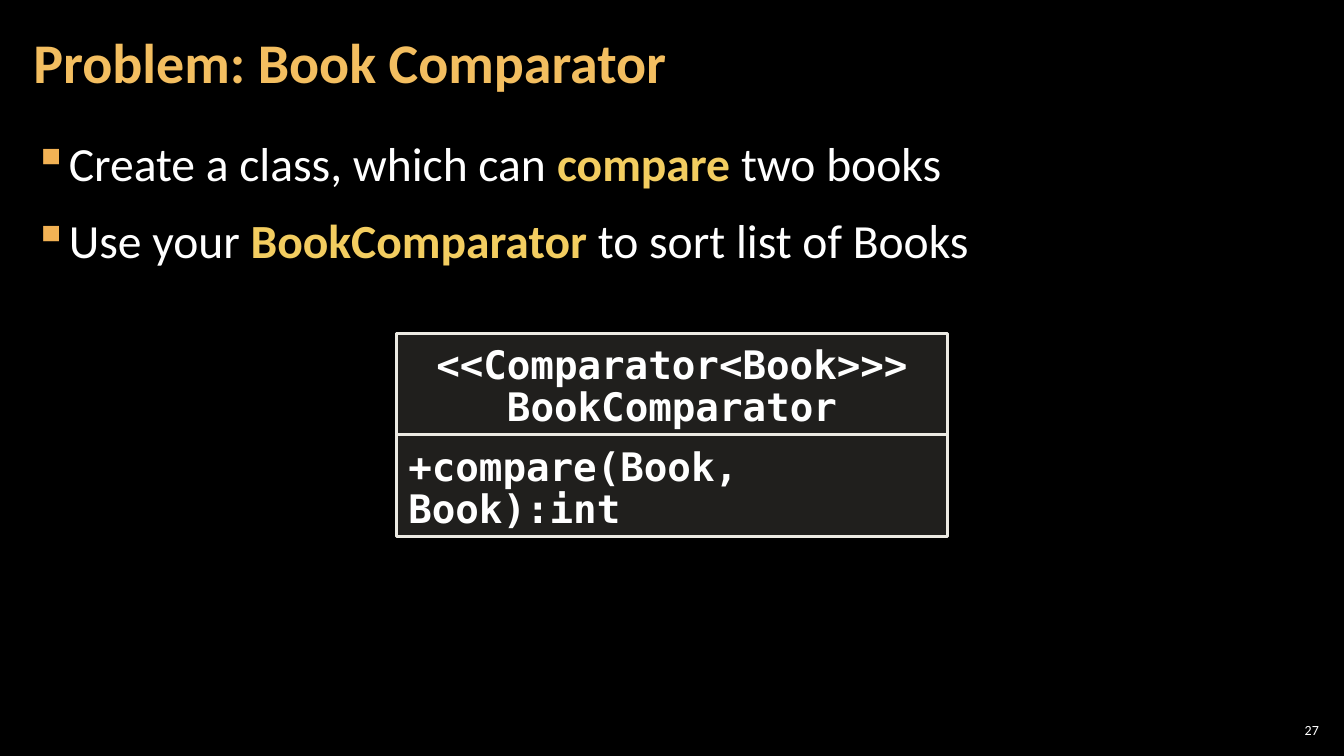
"""Build the Book Comparator slide with its bullets and class diagram."""
from dataclasses import dataclass

from lxml.etree import SubElement
from pptx import Presentation
from pptx.dml.color import RGBColor
from pptx.enum.shapes import MSO_SHAPE
from pptx.enum.text import MSO_ANCHOR, PP_ALIGN
from pptx.oxml.ns import qn
from pptx.util import Inches, Pt

WIDE, HIGH = Inches(13.33), Inches(7.5)
WHITE, GOLD, TITLE = "FFFFFF", "F3CD60", "F3BE60"
BULLET, PANEL, EDGE = "F2B254", "D9D5C7", "ECEAE3"
SANS, MONO = "Calibri", "DejaVu Sans Mono"


@dataclass(frozen=True)
class Place:
    left: float
    top: float
    width: float
    height: float

    def lengths(self) -> tuple[int, ...]:
        sides = (WIDE, HIGH, WIDE, HIGH)
        shares = (self.left, self.top, self.width, self.height)
        return tuple(int(side * share / 100) for side, share in zip(sides, shares))


@dataclass(frozen=True)
class Label:
    place: Place
    text: str
    size: int
    font: str = SANS
    hue: str = WHITE
    bold: bool = False
    align: PP_ALIGN = PP_ALIGN.LEFT
    anchor: MSO_ANCHOR = MSO_ANCHOR.TOP
    inset: tuple[float, float] = (0.12, 0.04)
    line: float | Pt = 1.0
    gap: int = 0
    list: bool = False
    panel: bool = False


def color(code: str) -> RGBColor:
    return RGBColor.from_string(code)


def add_panel(shapes, place: Place):
    panel = shapes.add_shape(MSO_SHAPE.RECTANGLE, *place.lengths())
    panel.shadow.inherit = False
    panel.fill.solid()
    panel.fill.fore_color.rgb = color(PANEL)
    tint = panel.fill._xPr.find(".//" + qn("a:srgbClr"))
    SubElement(tint, qn("a:alpha"), val="15000")
    panel.line.color.rgb = color(EDGE)
    panel.line.width = Pt(2)
    return panel


def add_bullet(para) -> None:
    props = para._p.get_or_add_pPr()
    indent = Inches(0.33)
    props.set("marL", str(indent))
    props.set("indent", str(-indent))
    tint = SubElement(props, qn("a:buClr"))
    SubElement(tint, qn("a:srgbClr"), val=BULLET)
    SubElement(props, qn("a:buChar"), char="▪")


def add_runs(para, text: str, label: Label) -> None:
    for order, part in enumerate(text.split("|")):
        strong = order % 2 == 1
        run = para.add_run()
        run.text = part
        run.font.name = label.font
        run.font.size = Pt(label.size)
        run.font.bold = label.bold or strong
        run.font.color.rgb = color(GOLD if strong else label.hue)


def add_label(shapes, label: Label) -> None:
    if label.panel:
        shape = add_panel(shapes, label.place)
    else:
        shape = shapes.add_textbox(*label.place.lengths())
    frame = shape.text_frame
    frame.word_wrap = True
    frame.vertical_anchor = label.anchor
    across, down = map(Inches, label.inset)
    frame.margin_left = frame.margin_right = across
    frame.margin_top = frame.margin_bottom = down
    for order, text in enumerate(label.text.split("\n")):
        para = frame.add_paragraph() if order else frame.paragraphs[0]
        para.alignment = label.align
        para.line_spacing = label.line
        para.space_before = para.space_after = Pt(label.gap)
        if label.list:
            add_bullet(para)
        add_runs(para, text, label)


def class_box(row: int, text: str, align: PP_ALIGN) -> Label:
    height = 13.4
    place = Place(29.48, 44.13 + row * height, 41.04, height)
    return Label(place, text, 28, MONO, bold=True, align=align,
                 inset=(0.12, 0.12), line=Pt(30), panel=True)


LABELS = (
    Label(Place(94.9, 95.2, 3.53, 2.8), "27", 10, align=PP_ALIGN.RIGHT,
          anchor=MSO_ANCHOR.MIDDLE, inset=(0.04, 0.04)),
    Label(Place(1.58, 16.8, 96.85, 81.2),
          "Create a class, which can |compare |two books\n"
          "Use your |BookComparator| to sort list of Books",
          34, line=1.05, gap=6, list=True),
    Label(Place(1.58, 0.53, 78.54, 16.13), "Problem: Book Comparator", 40,
          hue=TITLE, bold=True, anchor=MSO_ANCHOR.MIDDLE, line=0.9),
    class_box(0, "<<Comparator<Book>>>\nBookComparator", PP_ALIGN.CENTER),
    class_box(1, "+compare(Book, Book):int", PP_ALIGN.LEFT),
)


def main() -> None:
    deck = Presentation()
    deck.slide_width, deck.slide_height = WIDE, HIGH
    slide = deck.slides.add_slide(deck.slide_layouts[6])
    slide.background.fill.solid()
    slide.background.fill.fore_color.rgb = color("000000")
    for label in LABELS:
        add_label(slide.shapes, label)
    deck.save("out.pptx")


main()
